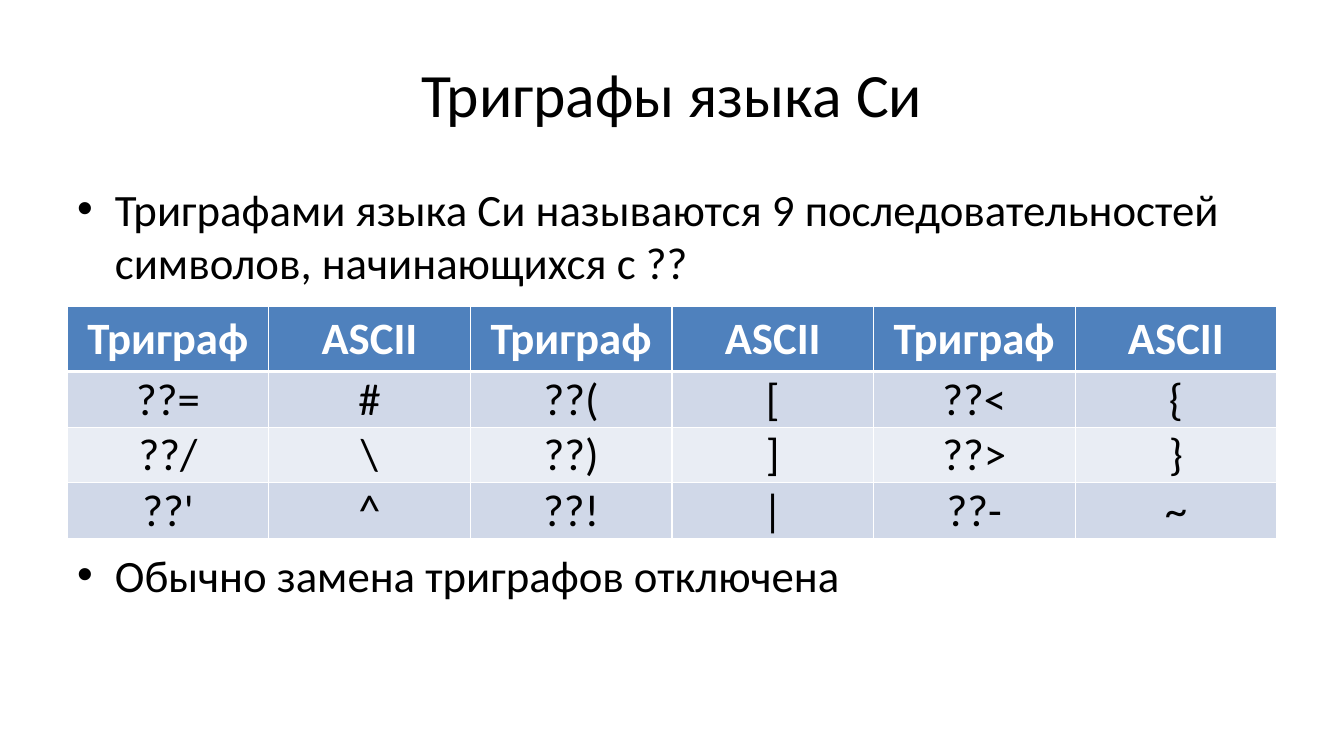
from lxml import etree
from pptx import Presentation
from pptx import util as u
from pptx.dml.color import RGBColor
from pptx.enum import text
from pptx.oxml.ns import qn

TITLE = "Триграфы языка Си"
# Bullet text and the space above it; the table sits between the two bullets
BULLETS = [
    ("Триграфами языка Си называются 9 последовательностей символов, начинающихся с ??", 5.6),
    ("Обычно замена триграфов отключена", 184.5),
]
ROWS = [
    ["Триграф", "ASCII"] * 3,
    ["??=", "#", "??(", "[", "??<", "{"],
    ["??/", "\\", "??)", "]", "??>", "}"],
    ["??'", "^", "??!", "|", "??-", "~"],
]
BLACK, WHITE, HEADER = "000000", "FFFFFF", "4F81BD"
BANDS = ["E9EDF4", "D0D8E8"]
LEFT, WIDTH = 48, 864
HEADER_HEIGHT, ROW_HEIGHT = 46.3, 39.8
INDENT = 27


def color(value):
    return RGBColor.from_string(value)


def style(para, size, value, bold=False):
    para.font.name = "Calibri"
    para.font.size = u.Pt(size)
    para.font.bold = bold
    para.font.color.rgb = color(value)


def place(shape, left, top, width, height):
    shape.left, shape.top = u.Pt(left), u.Pt(top)
    shape.width, shape.height = u.Pt(width), u.Pt(height)


def add_bullet(para):
    props = para._p.get_or_add_pPr()
    props.set("marL", str(u.Pt(INDENT)))
    props.set("indent", str(-u.Pt(INDENT)))
    etree.SubElement(props, qn("a:buFont"), typeface="Arial")
    etree.SubElement(props, qn("a:buChar"), char="•")


def add_border(cell, side, width):
    line = etree.SubElement(cell._tc.get_or_add_tcPr(), qn("a:" + side), w=str(u.Pt(width)))
    fill = etree.SubElement(line, qn("a:solidFill"))
    etree.SubElement(fill, qn("a:srgbClr"), val=WHITE)


deck = Presentation()
deck.slide_width, deck.slide_height = u.Pt(960), u.Pt(540)
page = deck.slides.add_slide(deck.slide_layouts[5])

# Title
title = page.shapes.title
place(title, LEFT, 21.6, WIDTH, 90)
title.text_frame.text = TITLE
title.text_frame.vertical_anchor = text.MSO_ANCHOR.MIDDLE
title.text_frame.paragraphs[0].alignment = text.PP_ALIGN.CENTER
style(title.text_frame.paragraphs[0], 44, BLACK)

# Bullets above and below the table
box = page.shapes.add_textbox(u.Pt(LEFT), u.Pt(126), u.Pt(WIDTH), u.Pt(356.4))
frame = box.text_frame
frame.word_wrap = True
for index, (wording, space) in enumerate(BULLETS):
    para = frame.add_paragraph() if index else frame.paragraphs[0]
    para.text = wording
    para.space_before = u.Pt(space)
    style(para, 32, BLACK)
    add_bullet(para)

# Trigraph table
heights = [HEADER_HEIGHT] + [ROW_HEIGHT] * (len(ROWS) - 1)
table = page.shapes.add_table(
    len(ROWS), len(ROWS[0]), u.Pt(LEFT), u.Pt(219), u.Pt(WIDTH), u.Pt(sum(heights))
).table
for r, (values, height) in enumerate(zip(ROWS, heights)):
    table.rows[r].height = u.Pt(height)
    for c, value in enumerate(values):
        cell = table.cell(r, c)
        cell.text = value
        cell.vertical_anchor = text.MSO_ANCHOR.MIDDLE
        para = cell.text_frame.paragraphs[0]
        para.alignment = text.PP_ALIGN.CENTER
        style(para, 32, BLACK if r else WHITE, bold=r == 0)
        if r:
            cell.margin_left = cell.margin_right = cell.margin_top = u.Pt(0.75)
            cell.margin_bottom = 0
        for side in ("lnL", "lnR", "lnT", "lnB"):
            thick = (r, side) in ((0, "lnB"), (1, "lnT"))
            add_border(cell, side, 3 if thick else 1)
        cell.fill.solid()
        cell.fill.fore_color.rgb = color(BANDS[r % 2] if r else HEADER)

deck.save("out.pptx")
